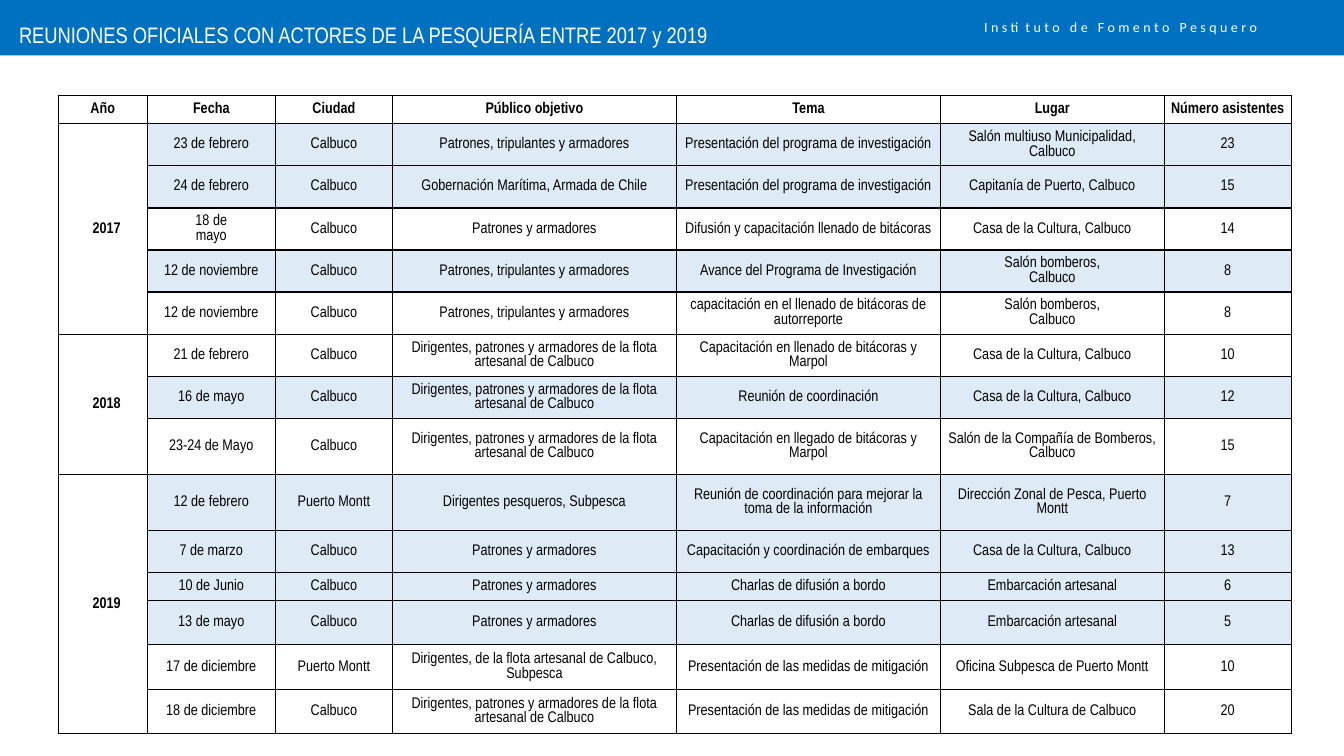
from lxml.etree import SubElement
from pptx import Presentation
from pptx.dml.color import RGBColor
from pptx.enum.shapes import MSO_SHAPE
from pptx.enum.text import MSO_ANCHOR, PP_ALIGN
from pptx.oxml.ns import qn
from pptx.util import Cm, Pt

HEADINGS = ["Año", "Fecha", "Ciudad", "Público objetivo", "Tema", "Lugar", "Número asistentes"]
COLUMN_WIDTHS = [2.24, 3.23, 2.95, 7.16, 6.65, 5.64, 3.2]
ROW_HEIGHTS = [0.71] + [1.06] * 7 + [1.41] * 2 + [1.06, 0.71] + [1.12] * 3

CREW = "Patrones, tripulantes y armadores"
OWNERS = "Patrones y armadores"
LEADERS = "Dirigentes, patrones y armadores de la flota artesanal de Calbuco"
PROGRAMME = "Presentación del programa de investigación"
MEASURES = "Presentación de las medidas de mitigación"
TALKS = "Charlas de difusión a bordo"
CULTURE_HOUSE = "Casa de la Cultura, Calbuco"
FIRE_HALL = "Salón bomberos,\nCalbuco"
BOAT = "Embarcación artesanal"

MEETINGS = {
    "2017": [
        (True, "23 de febrero", "Calbuco", CREW, PROGRAMME, "Salón multiuso Municipalidad,\nCalbuco", "23"),
        (True, "24 de febrero", "Calbuco", "Gobernación Marítima, Armada de Chile", PROGRAMME,
         "Capitanía de Puerto, Calbuco", "15"),
        (False, "18 de\nmayo", "Calbuco", OWNERS, "Difusión y capacitación llenado de bitácoras",
         CULTURE_HOUSE, "14"),
        (True, "12 de noviembre", "Calbuco", CREW, "Avance del Programa de Investigación", FIRE_HALL, "8"),
        (False, "12 de noviembre", "Calbuco", CREW,
         "capacitación en el llenado de bitácoras de autorreporte", FIRE_HALL, "8"),
    ],
    "2018": [
        (False, "21 de febrero", "Calbuco", LEADERS, "Capacitación en llenado de bitácoras y Marpol",
         CULTURE_HOUSE, "10"),
        (True, "16 de mayo", "Calbuco", LEADERS, "Reunión de coordinación", CULTURE_HOUSE, "12"),
        (False, "23-24 de Mayo", "Calbuco", LEADERS, "Capacitación en llegado de bitácoras y Marpol",
         "Salón de la Compañía de Bomberos,\nCalbuco", "15"),
    ],
    "2019": [
        (True, "12 de febrero", "Puerto Montt", "Dirigentes pesqueros, Subpesca",
         "Reunión de coordinación para mejorar la toma de la información",
         "Dirección Zonal de Pesca, Puerto Montt", "7"),
        (True, "7 de marzo", "Calbuco", OWNERS, "Capacitación y coordinación de embarques", CULTURE_HOUSE, "13"),
        (True, "10 de Junio", "Calbuco", OWNERS, TALKS, BOAT, "6"),
        (True, "13 de mayo", "Calbuco", OWNERS, TALKS, BOAT, "5"),
        (False, "17 de diciembre", "Puerto Montt", "Dirigentes, de la flota artesanal de Calbuco, Subpesca",
         MEASURES, "Oficina Subpesca de Puerto Montt", "10"),
        (False, "18 de diciembre", "Calbuco", LEADERS, MEASURES, "Sala de la Cultura de Calbuco", "20"),
    ],
}


def color(value):
    return RGBColor.from_string(value)


class MeetingsPage:
    blue, pale, ink, white = "0070C0", "DEEAF6", "000000", "FFFFFF"
    narrow, caption_font = "Arial Narrow", "Calibri"

    def __init__(self, deck):
        self.page = deck.slides.add_slide(deck.slide_layouts[6])

    def style(self, para, font, size, shade, align, bold=False):
        para.alignment = align
        para.font.name = font
        para.font.size = Pt(size)
        para.font.bold = bold
        para.font.color.rgb = color(shade)

    def banner(self, text, left, top, width, height):
        box = self.page.shapes.add_shape(MSO_SHAPE.RECTANGLE, Cm(left), Cm(top), Cm(width), Cm(height))
        box.shadow.inherit = False
        box.fill.solid()
        box.fill.fore_color.rgb = color(self.blue)
        box.line.fill.background()
        frame = box.text_frame
        frame.vertical_anchor = MSO_ANCHOR.MIDDLE
        frame.margin_left, frame.margin_top, frame.margin_bottom = Cm(0.48), Cm(0.48), Cm(0.1)
        frame.text = text
        self.style(frame.paragraphs[0], self.narrow, 16, self.white, PP_ALIGN.LEFT)

    def caption(self, text, left, top, width, height):
        box = self.page.shapes.add_textbox(Cm(left), Cm(top), Cm(width), Cm(height))
        box.text_frame.word_wrap = True
        para = box.text_frame.paragraphs[0]
        span = para.add_run()
        span.text = text
        span.font._element.set("spc", "250")
        self.style(para, self.caption_font, 10, self.white, PP_ALIGN.RIGHT)

    def border(self, cell):
        properties = cell._tc.get_or_add_tcPr()
        for position, side in enumerate(("lnL", "lnR", "lnT", "lnB")):
            line = SubElement(properties, qn(f"a:{side}"), w=str(Pt(1)))
            fill = SubElement(line, qn("a:solidFill"))
            SubElement(fill, qn("a:srgbClr"), val=self.ink)
            properties.insert(position, line)

    def cell(self, cell, text, bold=False, shaded=False, indent=0):
        cell.text = text
        cell.vertical_anchor = MSO_ANCHOR.MIDDLE
        cell.margin_left, cell.margin_right = Cm(0.13 + indent), Cm(0.13)
        cell.margin_top = cell.margin_bottom = 0
        for para in cell.text_frame.paragraphs:
            self.style(para, self.narrow, 11, self.ink, PP_ALIGN.CENTER, bold)
        if shaded:
            cell.fill.solid()
            cell.fill.fore_color.rgb = color(self.pale)
        else:
            cell.fill.background()
        self.border(cell)

    def schedule(self, left, top):
        table = self.page.shapes.add_table(
            len(ROW_HEIGHTS), len(COLUMN_WIDTHS), Cm(left), Cm(top),
            Cm(sum(COLUMN_WIDTHS)), Cm(sum(ROW_HEIGHTS))).table
        table.first_row = table.horz_banding = False
        for column, width in zip(table.columns, COLUMN_WIDTHS):
            column.width = Cm(width)
        for row, height in zip(table.rows, ROW_HEIGHTS):
            row.height = Cm(height)
        for column, heading in enumerate(HEADINGS):
            self.cell(table.cell(0, column), heading, bold=True)
        row = 1
        for year, meetings in MEETINGS.items():
            first = row
            for shaded, *details in meetings:
                self.cell(table.cell(row, 0), year if row == first else "", bold=True, indent=0.2)
                for column, detail in enumerate(details, start=1):
                    self.cell(table.cell(row, column), detail, shaded=shaded)
                row += 1
            table.cell(first, 0).merge(table.cell(row - 1, 0))


def main():
    deck = Presentation()
    deck.slide_width, deck.slide_height = Cm(33.87), Cm(19.05)
    page = MeetingsPage(deck)
    page.banner("REUNIONES OFICIALES CON ACTORES DE LA PESQUERÍA ENTRE 2017 y 2019", 0, -0.05, 33.87, 1.45)
    page.caption("Instituto de Fomento Pesquero", 24.08, 0.33, 7.85, 0.71)
    page.schedule(1.47, 2.41)
    deck.save("out.pptx")


if __name__ == "__main__":
    main()
